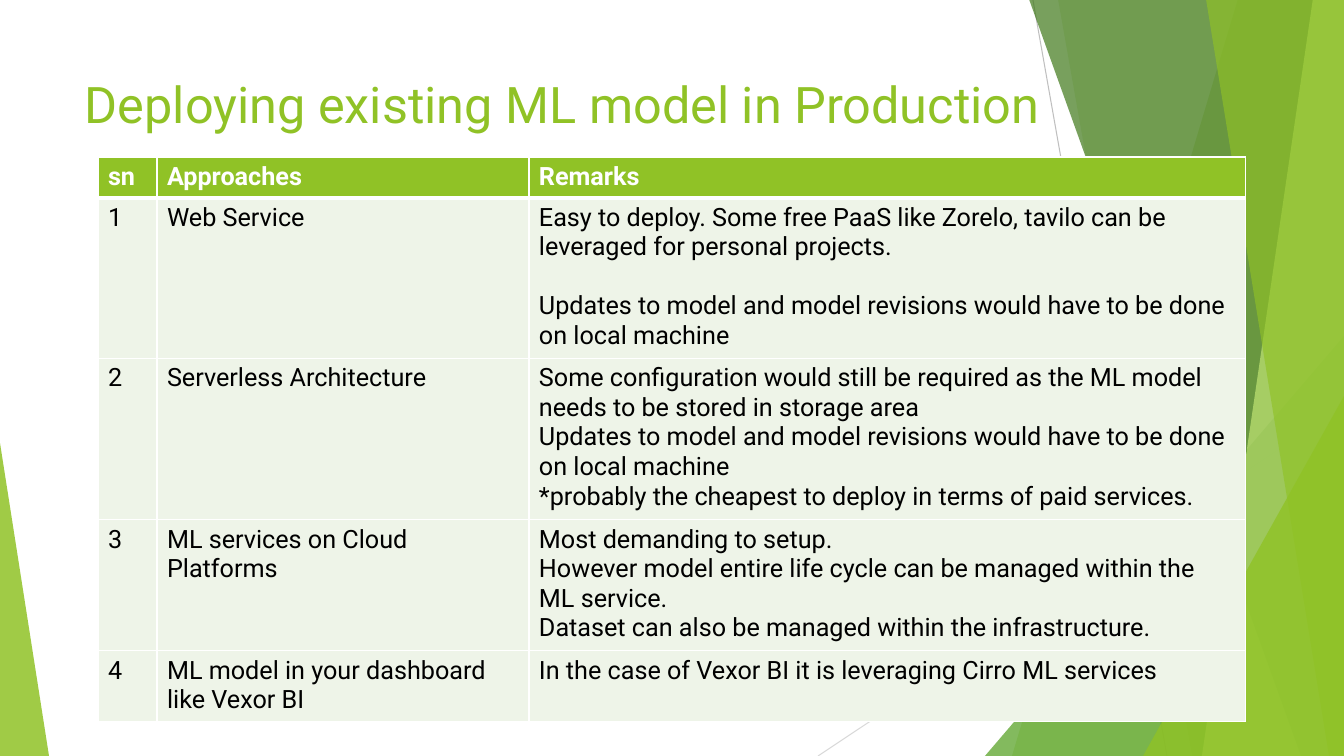
import lxml.etree
import pptx
import pptx.dml.color
import pptx.enum.shapes
import pptx.enum.text
import pptx.oxml.ns
import pptx.util

EMU_PER_PX = 12192000 / 1344
WIDTH, HEIGHT = 1344, 756
FONT = "Roboto"
COLORS = {
    "lime": "90C226", "green": "54A021", "forest": "3F7819", "pale": "C0E474",
    "gray": "BFBFBF", "light_gray": "D9D9D9",
    "row": "EEF4E8", "white": "FFFFFF", "black": "000000",
}

COLUMN_WIDTHS = [59, 372, 717]
ROW_HEIGHTS = [41, 158, 158, 129, 69]
HEADINGS = ["sn", "Approaches", "Remarks"]
LOCAL_UPDATES = ("Updates to model and model revisions would have to be done "
                 "on local machine")
APPROACHES = [
    ("Web Service",
     ["Easy to deploy. Some free PaaS like Zorelo, tavilo can be "
      "leveraged for personal projects.", LOCAL_UPDATES]),
    ("Serverless Architecture",
     ["Some configuration would still be required as the ML model needs "
      "to be stored in storage area", LOCAL_UPDATES,
      "*probably the cheapest to deploy in terms of paid services."]),
    ("ML services on Cloud Platforms",
     ["Most demanding to setup.",
      "However model entire life cycle can be managed within the ML service.",
      "Dataset can also be managed within the infrastructure."]),
    ("ML model in your dashboard like Vexor BI",
     ["In the case of Vexor BI it is leveraging Cirro ML services"]),
]


def px(length):
    """Turn pixels into EMU."""
    return pptx.util.Emu(round(length * EMU_PER_PX))


def rgb(name):
    """Look up a colour by name."""
    return pptx.dml.color.RGBColor.from_string(COLORS[name])


def add_child(parent, tag, **attributes):
    """Append a DrawingML element to parent."""
    return lxml.etree.SubElement(parent, pptx.oxml.ns.qn(tag), attributes)


def paint(shape, color, opacity):
    """Give a shape a see-through fill with no outline or shadow."""
    shape.shadow.inherit = False
    shape.fill.solid()
    shape.fill.fore_color.rgb = rgb(color)
    shape.line.fill.background()
    solid = shape.fill._xPr.find(pptx.oxml.ns.qn("a:solidFill"))
    add_child(solid[0], "a:alpha", val=str(opacity * 1000))


def add_ray(slide, start, end, color):
    """Draw a thin straight line."""
    ray = slide.shapes.add_connector(
        pptx.enum.shapes.MSO_CONNECTOR.STRAIGHT,
        px(start[0]), px(start[1]), px(end[0]), px(end[1]))
    ray.line.color.rgb = rgb(color)
    ray.line.width = pptx.util.Pt(0.75)
    add_child(ray._element.spPr, "a:effectLst")


def add_facet(slide, top_x, bottom_x, color, opacity):
    """Draw a panel with a slanted left edge that reaches the right side."""
    builder = slide.shapes.build_freeform(px(top_x), px(-1))
    corners = [(WIDTH, -1), (WIDTH, HEIGHT), (bottom_x, HEIGHT)]
    builder.add_line_segments([(px(x), px(y)) for x, y in corners], close=True)
    paint(builder.convert_to_shape(), color, opacity)


def add_corner(slide, left, top, width, apex, color, opacity):
    """Draw a triangle that stands on the bottom edge."""
    corner = slide.shapes.add_shape(
        pptx.enum.shapes.MSO_SHAPE.ISOSCELES_TRIANGLE,
        px(left), px(top), px(width), px(HEIGHT - top))
    corner.adjustments[0] = apex
    paint(corner, color, opacity)


def add_backdrop(slide):
    """Draw the rays and green facets behind the content."""
    add_ray(slide, (1033, 0), (1167, HEIGHT), "gray")
    add_ray(slide, (WIDTH, 406), (818, HEIGHT), "light_gray")
    add_facet(slide, 1238, 1012, "lime", 30)
    add_facet(slide, 1058, 1192, "lime", 20)
    add_corner(slide, 985, 336, 359, 1, "green", 72)
    add_facet(slide, 1029, 1301, "forest", 70)
    add_facet(slide, 1313, 1202, "pale", 70)
    add_facet(slide, 1206, 1329, "lime", 65)
    add_corner(slide, 1143, 396, 201, 1, "lime", 80)
    add_corner(slide, 0, 443, 49, 0, "lime", 85)


def style_paragraph(paragraph, size, color, bold=False):
    """Set the font of a paragraph."""
    paragraph.font.name = FONT
    paragraph.font.size = pptx.util.Pt(size)
    paragraph.font.color.rgb = rgb(color)
    paragraph.font.bold = bold


def add_title(slide, text):
    """Write the slide title."""
    title = slide.shapes.add_textbox(px(75), px(68), px(1131), px(145))
    frame = title.text_frame
    frame.word_wrap = True
    frame.vertical_anchor = pptx.enum.text.MSO_ANCHOR.TOP
    frame.text = text
    style_paragraph(frame.paragraphs[0], 36, "lime")


def set_borders(cell, top, bottom):
    """Draw white cell borders; top and bottom are widths in points."""
    properties = cell._tc.get_or_add_tcPr()
    for side, width in (("L", 1), ("R", 1), ("T", top), ("B", bottom)):
        border = add_child(properties, "a:ln" + side,
                           w=str(pptx.util.Pt(width)))
        solid = add_child(border, "a:solidFill")
        add_child(solid, "a:srgbClr", val=COLORS["white"])


def fill_cell(cell, lines, row):
    """Write and style one table cell."""
    header = row == 0
    set_borders(cell, 3 if row == 1 else 1, 3 if header else 1)
    cell.fill.solid()
    cell.fill.fore_color.rgb = rgb("lime" if header else "row")
    cell.text = "\n".join(lines)
    for paragraph in cell.text_frame.paragraphs:
        style_paragraph(paragraph, 18, "white" if header else "black", header)


def add_approaches_table(slide):
    """Build the table of deployment approaches."""
    table = slide.shapes.add_table(
        len(ROW_HEIGHTS), len(COLUMN_WIDTHS), px(98), px(157),
        px(sum(COLUMN_WIDTHS)), px(sum(ROW_HEIGHTS))).table
    table.horz_banding = False
    for column, width in zip(table.columns, COLUMN_WIDTHS):
        column.width = px(width)
    for row, height in zip(table.rows, ROW_HEIGHTS):
        row.height = px(height)

    contents = [[[heading] for heading in HEADINGS]]
    for number, (approach, remarks) in enumerate(APPROACHES, 1):
        contents.append([[str(number)], [approach], remarks])
    for row, cells in enumerate(contents):
        for column, lines in enumerate(cells):
            fill_cell(table.cell(row, column), lines, row)
    web_updates = table.cell(1, 2).text_frame.paragraphs[1]
    web_updates.space_before = pptx.util.Pt(21)


def main():
    """Build and save the slide."""
    presentation = pptx.Presentation()
    presentation.slide_width = px(WIDTH)
    presentation.slide_height = px(HEIGHT)
    slide = presentation.slides.add_slide(presentation.slide_layouts[6])
    add_backdrop(slide)
    add_title(slide, "Deploying existing ML model in Production")
    add_approaches_table(slide)
    presentation.save("out.pptx")


main()
